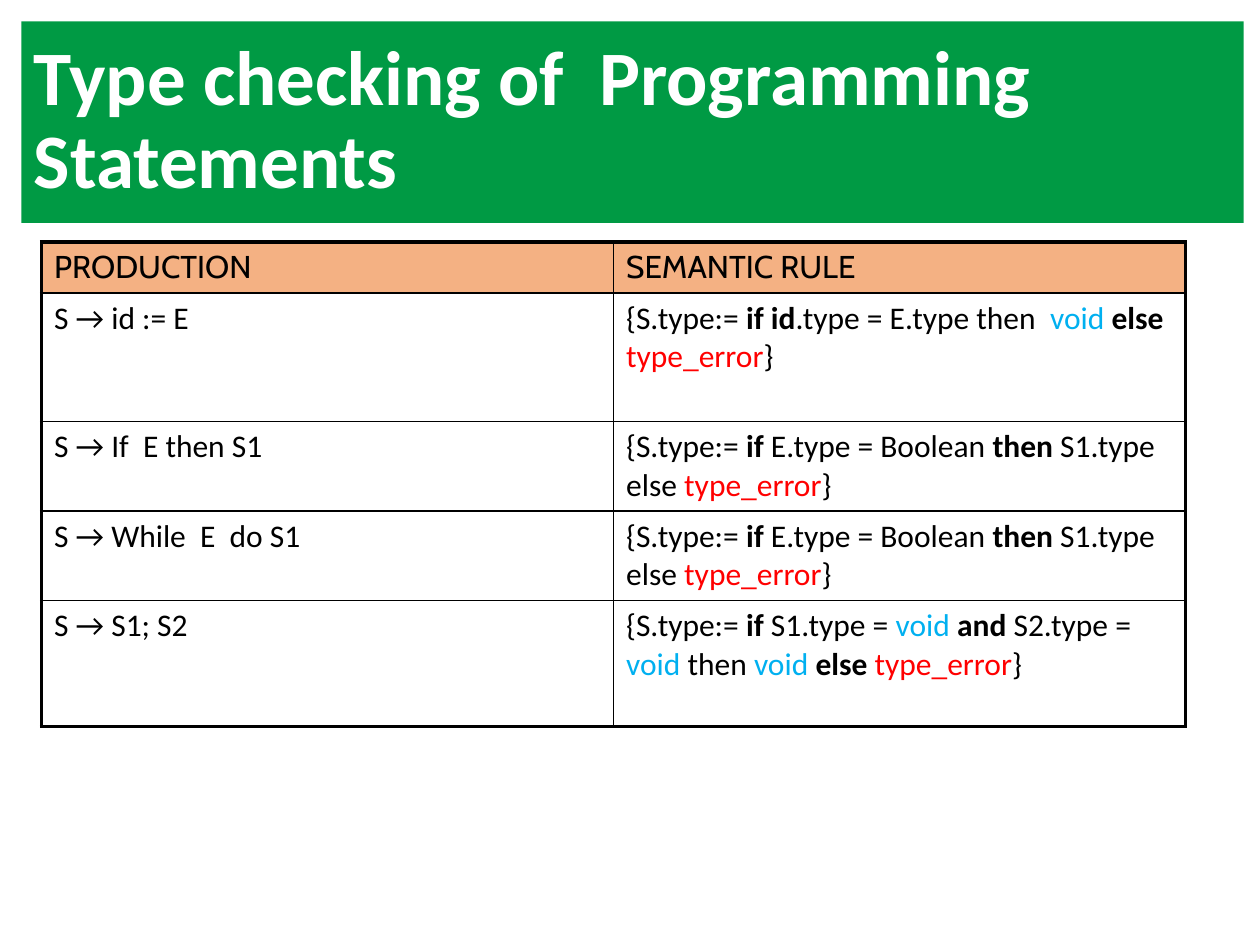
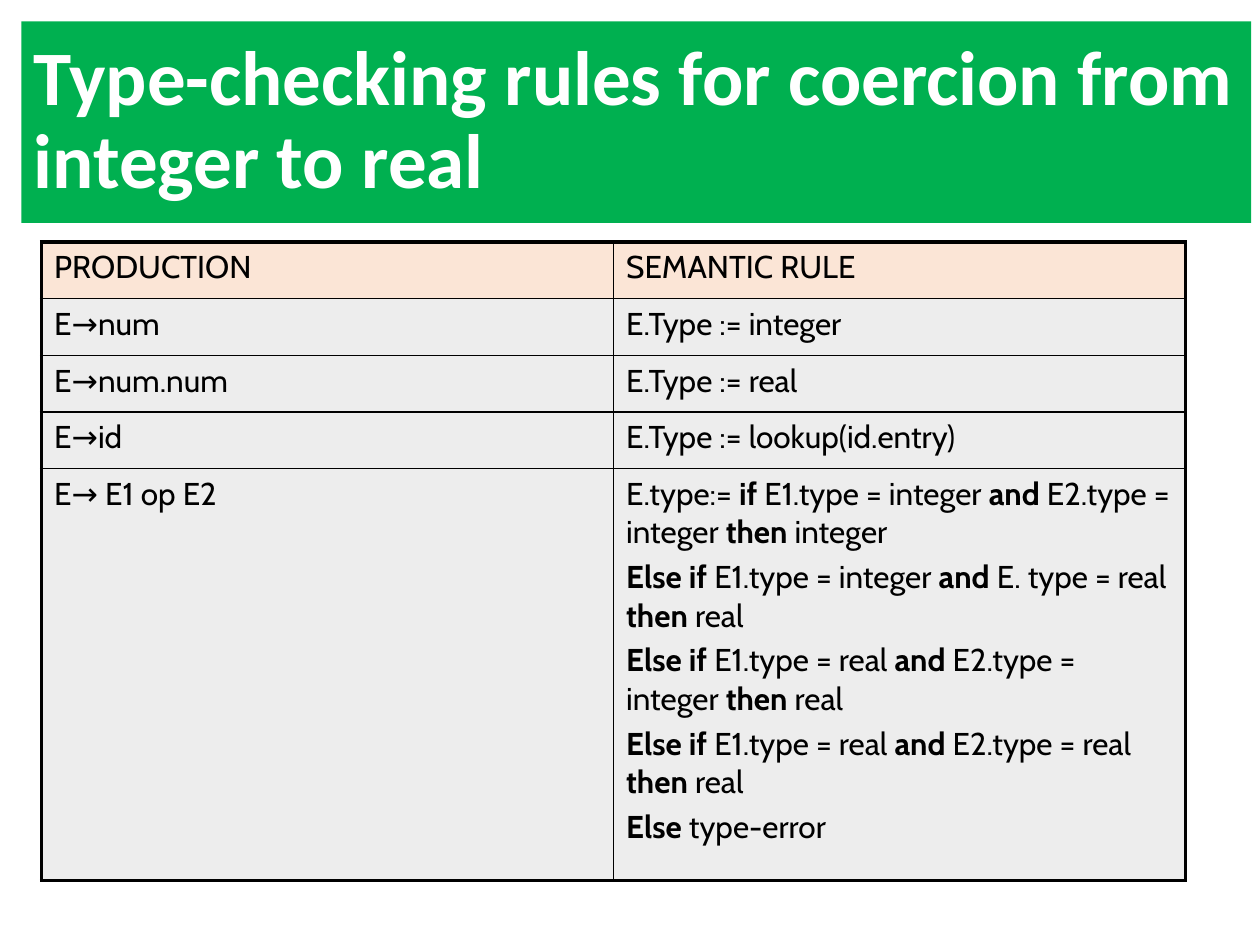
"""Build two slides of type-checking rules, each a title band over a rule table."""
from dataclasses import dataclass

from lxml import etree
from pptx import Presentation
from pptx.dml.color import RGBColor
from pptx.enum.shapes import MSO_SHAPE
from pptx.enum.text import MSO_ANCHOR, PP_ALIGN
from pptx.oxml.ns import qn
from pptx.util import Inches, Pt

RECTANGLE = MSO_SHAPE.RECTANGLE
MIDDLE = MSO_ANCHOR.MIDDLE
LEFT = PP_ALIGN.LEFT


@dataclass(frozen=True)
class Theme:
    title_font: str = "Calibri"
    header_font: str = "Cabin"
    title_size: float = 44
    body_size: float = 18
    paragraph_gap: float = 3.6
    outer_line: float = 2.25
    inner_line: float = 1
    white: str = "FFFFFF"
    black: str = "000000"
    void_blue: str = "00B0F0"
    error_red: str = "FF0000"
    deep_green: str = "009A44"
    bright_green: str = "00B050"
    orange: str = "F4B183"
    peach: str = "FBE5D6"
    grey: str = "EDEDED"


THEME = Theme()
MARKS = {"*": (True, None), "~": (False, THEME.void_blue), "!": (False, THEME.error_red)}


def write(frame, text, *, font, size, color, bold=False, line_spacing=None, gap=0):
    """Write lines whose |-separated parts may start with a style mark."""
    for number, line in enumerate(text.split("\n")):
        paragraph = frame.add_paragraph() if number else frame.paragraphs[0]
        paragraph.alignment = LEFT
        paragraph.space_before = Pt(gap)
        if line_spacing:
            paragraph.line_spacing = line_spacing
        for part in line.split("|"):
            part_bold, part_color = MARKS.get(part[0], (bold, None))
            run = paragraph.add_run()
            run.text = part[1:] if part[0] in MARKS else part
            run.font.name = font
            run.font.size = Pt(size)
            run.font.bold = part_bold
            run.font.color.rgb = RGBColor.from_string(part_color or color)


def draw_borders(cell, widths):
    """Draw the left, right, top and bottom borders of a cell."""
    properties = cell._tc.get_or_add_tcPr()
    for side, width in zip("LRTB", widths):
        border = etree.SubElement(properties, qn(f"a:ln{side}"), w=str(Pt(width)))
        fill = etree.SubElement(border, qn("a:solidFill"))
        etree.SubElement(fill, qn("a:srgbClr"), val=THEME.black)


HEADINGS = ("PRODUCTION", "SEMANTIC RULE")
BOOLEAN_RULE = "{S.type:= |*if |E.type = Boolean|* then| S1.type else |!type_error|}"

lessons = [
    dict(
        title="Type checking of  Programming Statements",
        band_width=9.7, band_color=THEME.deep_green,
        header_color=THEME.orange, body_color=THEME.white, body_font="Calibri",
        row_heights=(0.4, 1.02, 0.71, 0.71, 1.0),
        rules=[
            ("S → id := E",
             "{S.type:= |*if id|.type = E.type then  |~void |*else |!type_error|}"),
            ("S → If  E then S1", BOOLEAN_RULE),
            ("S → While  E  do S1", BOOLEAN_RULE),
            ("S → S1; S2",
             "{S.type:= |*if| S1.type = |~void |*and| S2.type = |~void |then "
             "|~void |*else |!type_error|}"),
        ],
    ),
    dict(
        title="Type-checking rules for coercion from integer to real",
        band_width=9.76, band_color=THEME.bright_green,
        header_color=THEME.peach, body_color=THEME.grey, body_font="Cabin",
        row_heights=(0.45, 0.45, 0.45, 0.45, 3.27),
        rules=[
            ("E→num", "E.Type := integer"),
            ("E→num.num", "E.Type := real"),
            ("E→id", "E.Type := lookup(id.entry)"),
            ("E→ E1 op E2",
             "E.type:= |*if| E1.type = integer |*and |E2.type = integer |*then| integer\n"
             "*Else if| E1.type = integer |*and| E. type = real |*then| real\n"
             "*Else if| E1.type = real |*and| E2.type = integer |*then| real\n"
             "*Else if| E1.type = real |*and| E2.type = real |*then| real\n"
             "*Else| type-error"),
        ],
    ),
]

deck = Presentation()
deck.slide_width, deck.slide_height = Inches(10), Inches(7.5)

for lesson in lessons:
    slide = deck.slides.add_slide(deck.slide_layouts[6])

    band = slide.shapes.add_shape(
        RECTANGLE, Inches(0.17), Inches(0.17), Inches(lesson["band_width"]), Inches(1.6))
    band.shadow.inherit = False
    band.fill.solid()
    band.fill.fore_color.rgb = RGBColor.from_string(lesson["band_color"])
    band.line.fill.background()
    band.text_frame.word_wrap = True
    band.text_frame.vertical_anchor = MIDDLE
    write(band.text_frame, lesson["title"], font=THEME.title_font, size=THEME.title_size,
          color=THEME.white, bold=True, line_spacing=0.9)

    heights = lesson["row_heights"]
    rows = [HEADINGS, *lesson["rules"]]
    table = slide.shapes.add_table(
        len(rows), len(HEADINGS), Inches(0.33), Inches(1.92),
        Inches(9.08), Inches(sum(heights))).table
    table.first_row = table.horz_banding = False

    for row, texts in enumerate(rows):
        table.rows[row].height = Inches(heights[row])
        is_header = row == 0
        for column, text in enumerate(texts):
            cell = table.cell(row, column)
            on_edge = (column == 0, column == len(texts) - 1, is_header, row == len(rows) - 1)
            draw_borders(cell, [THEME.outer_line if edge else THEME.inner_line
                                for edge in on_edge])
            cell.fill.solid()
            cell.fill.fore_color.rgb = RGBColor.from_string(
                lesson["header_color" if is_header else "body_color"])
            write(cell.text_frame, text,
                  font=THEME.header_font if is_header else lesson["body_font"],
                  size=THEME.body_size, color=THEME.black, gap=THEME.paragraph_gap)

deck.save("out.pptx")
